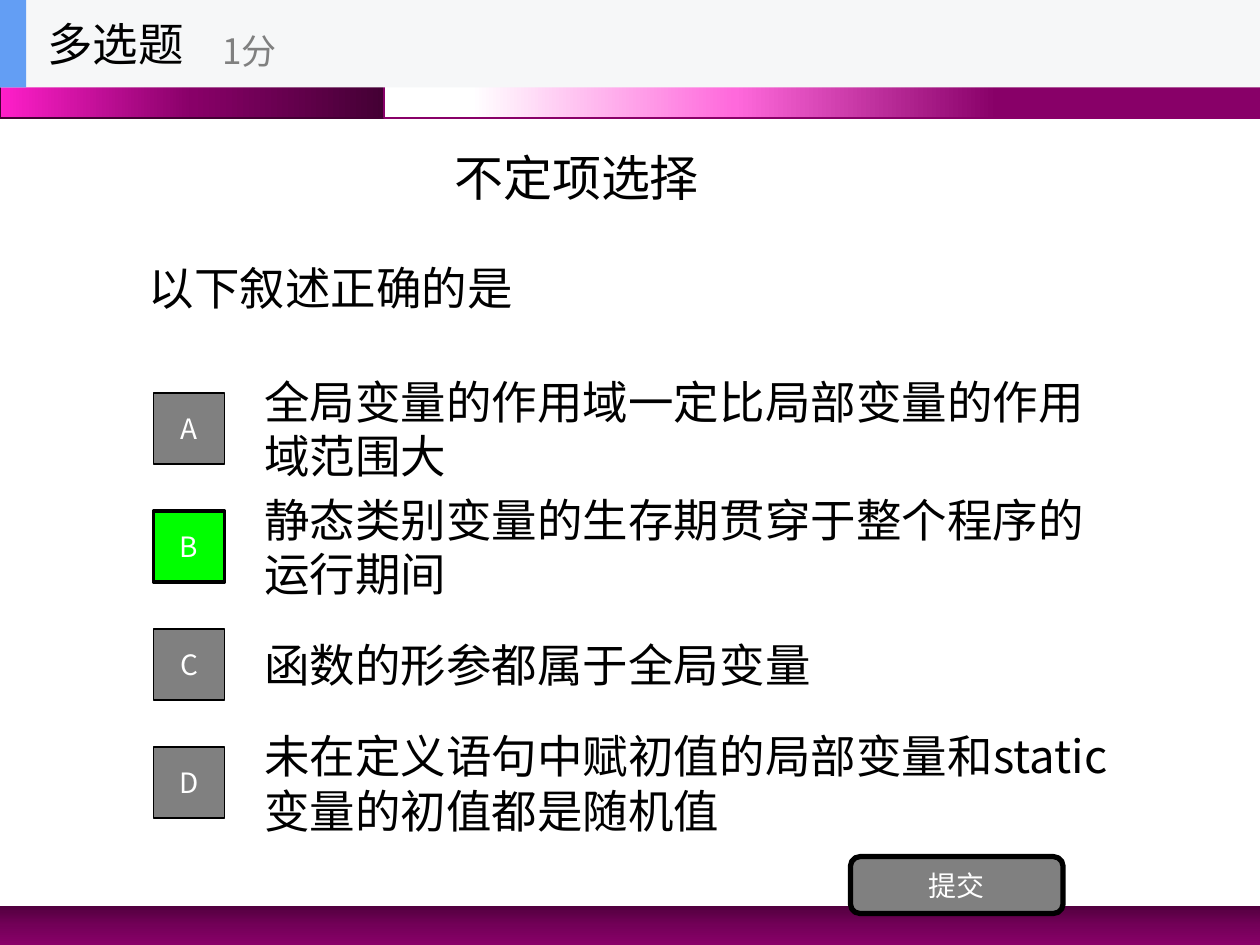
from copy import deepcopy
from dataclasses import dataclass

from pptx import Presentation
from pptx.dml.color import RGBColor
from pptx.enum import shapes as es, text as et
from pptx.oxml import ns, xmlchemy as xc
from pptx.util import Pt

CJK = "Noto Sans CJK SC"
BLACK, WHITE, GRAY, GREEN = "000000", "FFFFFF", "808080", "00FF00"
RECT = es.MSO_SHAPE.RECTANGLE
ROUND = es.MSO_SHAPE.ROUNDED_RECTANGLE


@dataclass
class Box:
    x: float
    y: float
    w: float
    h: float


@dataclass
class Band:
    box: Box
    stops: list[tuple[float, str]]
    angle: float
    edge: str = ""


@dataclass
class Choice:
    mark: str
    body: str
    right: bool = False


def color(code: str) -> RGBColor:
    return RGBColor.from_string(code)


def write(frame, words: str, size: float, ink: str, font: str = CJK):
    """Add one run, with the same font for Latin and East Asian text."""
    para = frame.paragraphs[0]
    run = para.add_run()
    run.text = words
    run.font.size = Pt(size)
    run.font.name = font
    run.font.color.rgb = color(ink)
    east = xc.OxmlElement("a:ea")
    east.set("typeface", font)
    run.font._element.find(ns.qn("a:latin")).addnext(east)
    return para


def label(group, box: Box, words: str, size: float, ink: str = BLACK,
          font: str = CJK, wrap: bool = True, middle: bool = True):
    item = group.add_textbox(Pt(box.x), Pt(box.y), Pt(box.w), Pt(box.h))
    frame = item.text_frame
    frame.word_wrap = wrap
    if middle:
        frame.vertical_anchor = et.MSO_ANCHOR.MIDDLE
    return write(frame, words, size, ink, font)


def block(group, box: Box, fill: str = "", edge: str = "",
          width: float = 1, kind=RECT):
    item = group.add_shape(kind, Pt(box.x), Pt(box.y), Pt(box.w), Pt(box.h))
    item.shadow.inherit = False
    if fill:
        item.fill.solid()
        item.fill.fore_color.rgb = color(fill)
    if edge:
        item.line.color.rgb = color(edge)
        item.line.width = Pt(width)
    else:
        item.line.fill.background()
    return item


def button(group, box: Box, words: str, fill: str, width: float, kind=RECT):
    item = block(group, box, fill, BLACK, width, kind)
    frame = item.text_frame
    frame.vertical_anchor = et.MSO_ANCHOR.MIDDLE
    write(frame, words, 16, WHITE).alignment = et.PP_ALIGN.CENTER


def blend(group, band: Band):
    item = block(group, band.box, edge=band.edge)
    item.fill.gradient()
    item.fill.gradient_angle = band.angle
    # A new gradient has two stops: add the third
    stops = item._element.spPr.find(ns.qn("a:gradFill")).find(ns.qn("a:gsLst"))
    stops.append(deepcopy(stops[-1]))
    for stop, (place, code) in zip(item.fill.gradient_stops, band.stops):
        stop.position = place
        stop.color.rgb = color(code)


BANDS = [
    Band(Box(0, 517.5, 720, 22.5),
         [(0, "51003E"), (0.5, "730058"), (1, "880068")], 270),
    Band(Box(0, 0, 219.5, 67.5),
         [(0, "440034"), (0.5, "880068"), (1, "FF1FCA")], 180, "440034"),
    Band(Box(219.5, 0, 500.5, 67.5),
         [(0.3, "880068"), (0.6, "FF69DC"), (0.9, WHITE)], 180, "880068"),
]
CHOICES = [
    Choice("A", "全局变量的作用域一定比局部变量的作用域范围大"),
    Choice("B", "静态类别变量的生存期贯穿于整个程序的运行期间", True),
    Choice("C", "函数的形参都属于全局变量"),
    Choice("D", "未在定义语句中赋初值的局部变量和static变量的初值都是随机值"),
]
TOP, STEP = 219.5, 67.5


def main():
    deck = Presentation()
    deck.slide_width, deck.slide_height = Pt(720), Pt(540)
    slide = deck.slides.add_slide(deck.slide_layouts[6])
    page = slide.shapes

    # Coloured bands
    for band in BANDS:
        blend(page, band)

    # Question and choices
    label(page, Box(78, 80, 576, 168.5), "以下叙述正确的是", 26)
    for row, pick in enumerate(CHOICES):
        y = TOP + row * STEP
        para = label(page, Box(144, y, 504, 50.5), pick.body, 26)
        para.line_spacing = Pt(31.2)
        fill, width = (GREEN, 2) if pick.right else (GRAY, 1)
        button(page, Box(87.75, y + 5, 40.5, 40.5), pick.mark, fill, width)

    # Submit button and title
    button(page, Box(486, 489.5, 121.5, 32.5), "提交", GRAY, 3, ROUND)
    label(page, Box(252.5, 80.5, 227, 41), "不定项选择", 28, font="Arial",
          middle=False)

    # Header
    head = page.add_group_shape().shapes
    block(head, Box(0, 0, 720, 50), "F6F7F8")
    block(head, Box(0, 0, 15, 50), "639EF4")
    label(head, Box(20, 0, 150, 50), "多选题", 26, wrap=False)
    label(head, Box(120, 9, 180, 40), "1分", 20, GRAY, wrap=False)

    deck.save("out.pptx")


if __name__ == "__main__":
    main()
